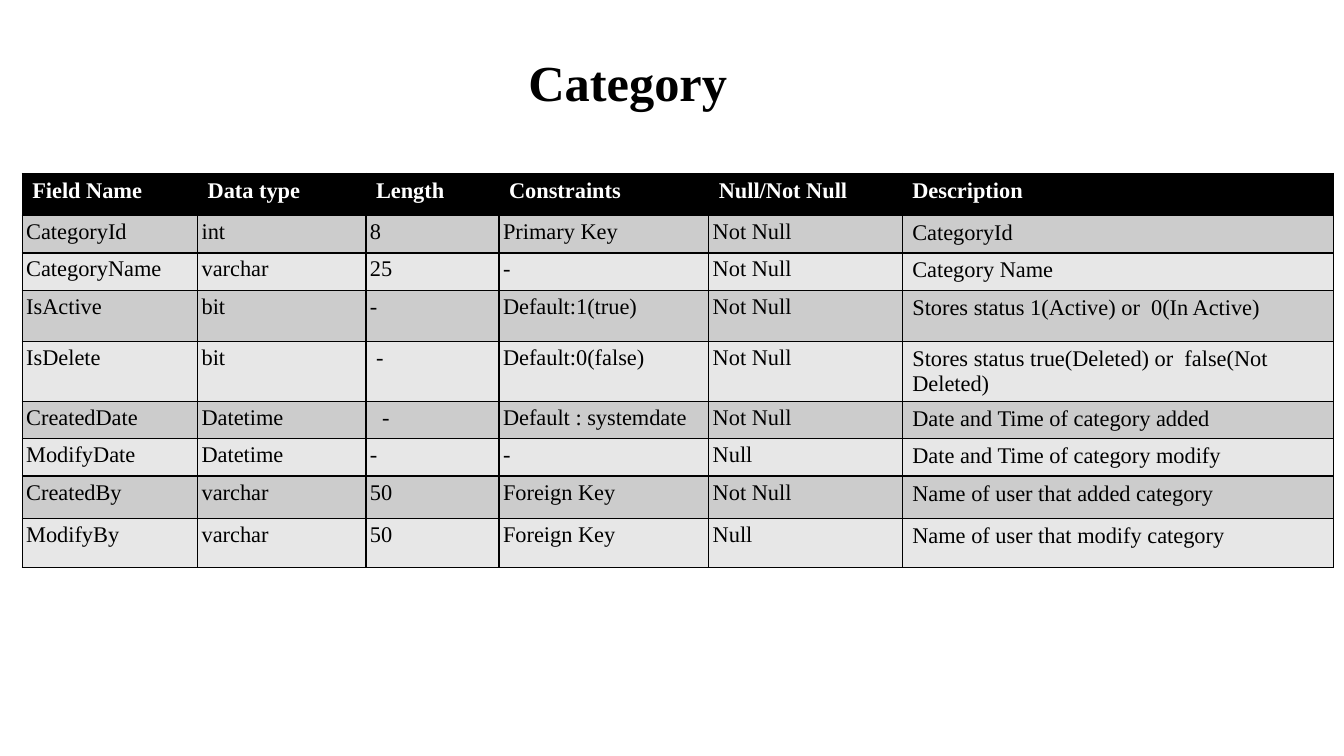
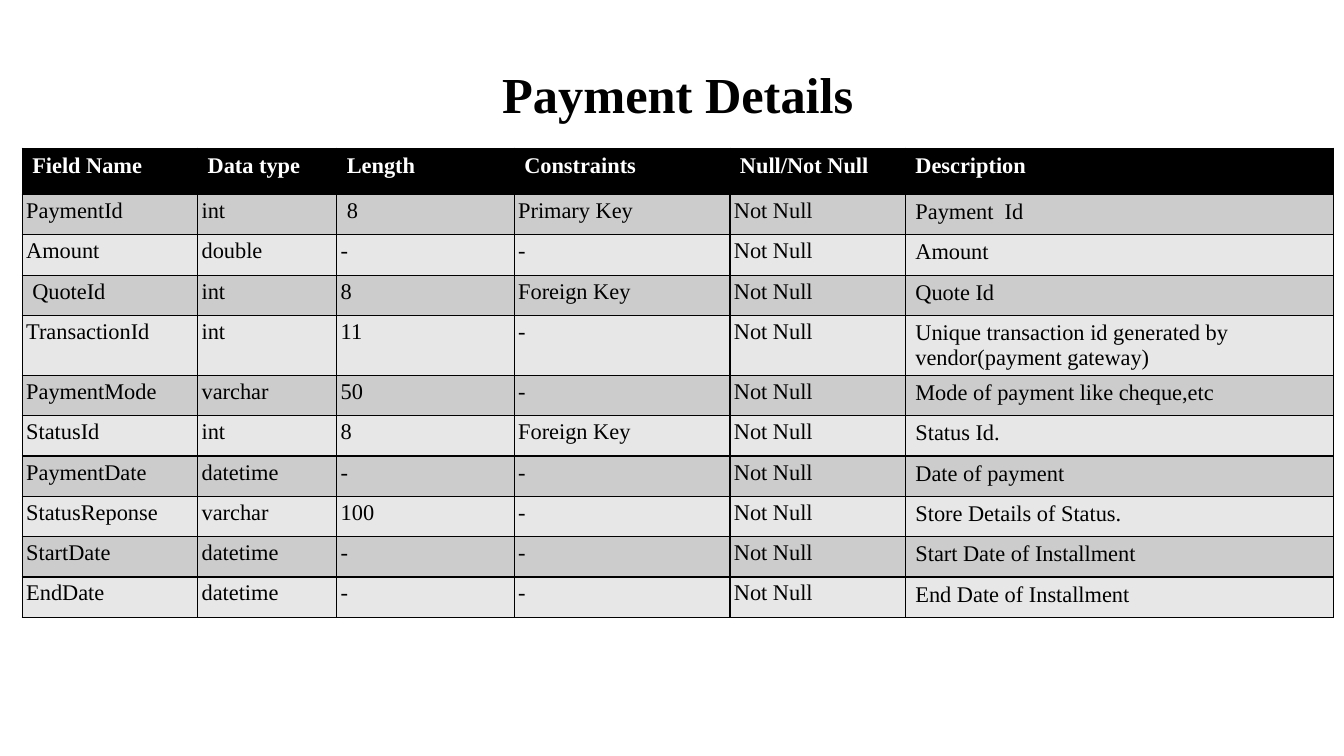
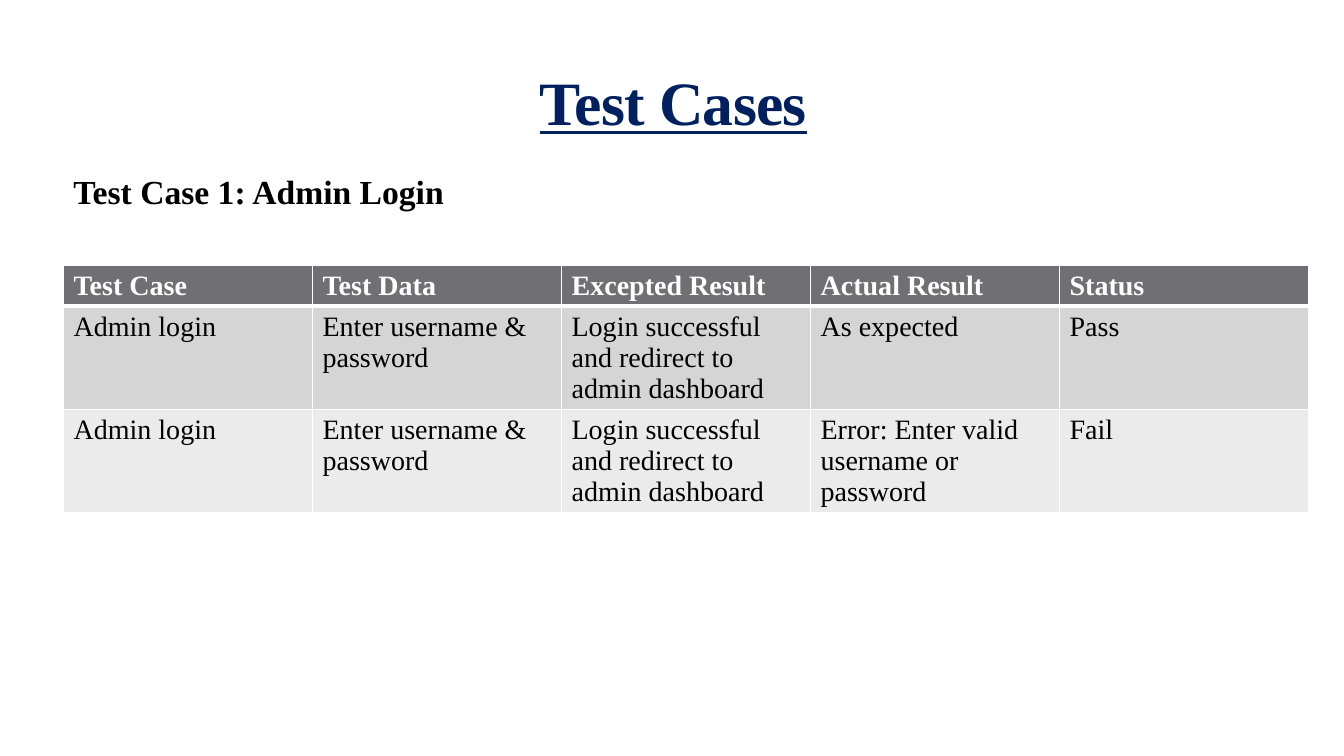
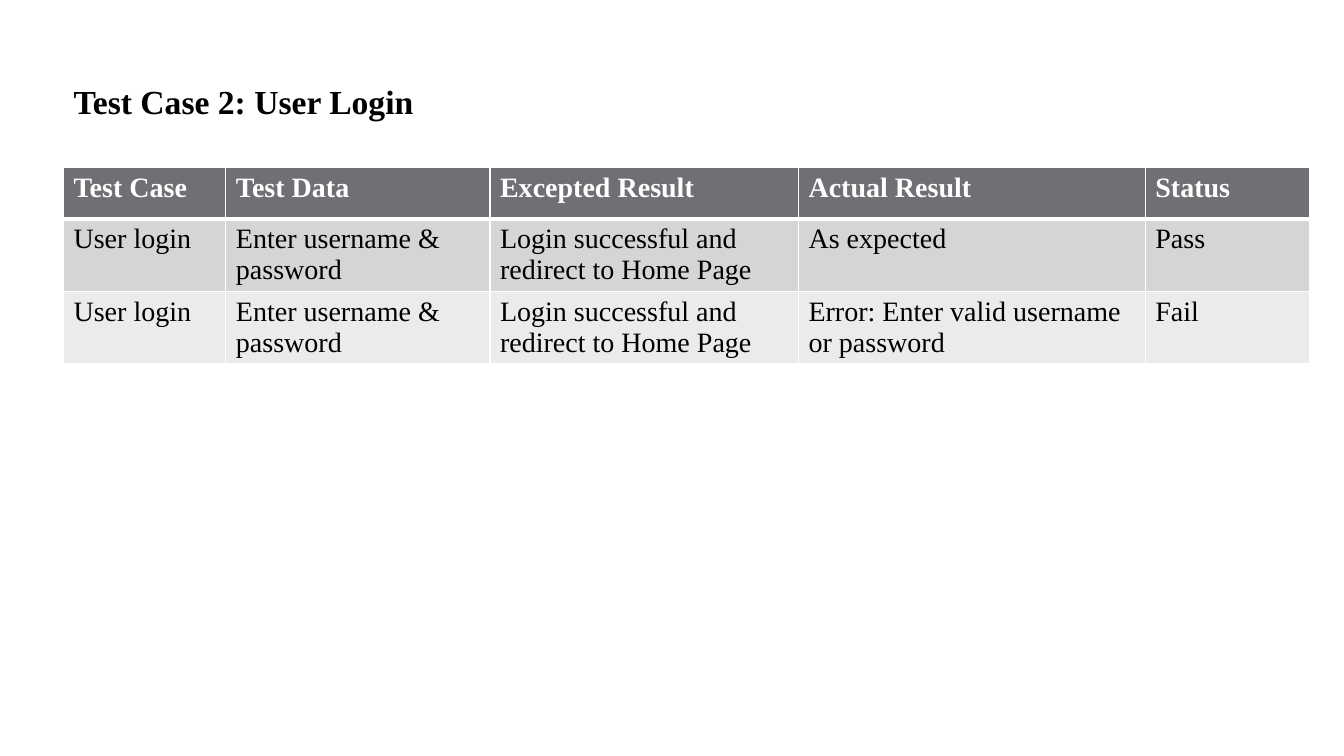
from dataclasses import dataclass

from lxml import etree
from pptx import Presentation
from pptx.dml.color import RGBColor
from pptx.enum import text as t
from pptx.oxml.ns import qn
from pptx.util import Inches, Pt

FACE = "Times New Roman"
BLACK, WHITE, NAVY = "000000", "FFFFFF", "002060"
TITLE_ONLY = 5


@dataclass
class Head:
    text: str
    box: tuple[float, ...]
    size: int = 36
    indent: float = 0
    color: str = BLACK
    main: bool = False


@dataclass
class Style:
    head: str
    bands: tuple[str, str]
    edge: str
    rule: float
    size: int
    tight: bool


@dataclass
class Grid:
    left: float
    top: float
    cols: list[float]
    rows: list[float]
    cells: list[tuple[str, ...]]
    style: Style


@dataclass
class Page:
    head: Head
    grid: Grid
    sub: Head | None = None


FIELD = Style(BLACK, ("CCCCCC", "E7E7E7"), BLACK, 1, 16, True)
TEST = Style("6F6F74", ("D5D5D6", "EBEBEB"), WHITE, 3, 20, False)

FIELDS = ("Field Name", "Data type", "Length", "Constraints", "Null/Not Null", "Description")
TESTS = ("Test Case", "Test Data", "Excepted Result", "Actual Result", "Status")


def rgb(code: str) -> RGBColor:
    return RGBColor.from_string(code)


def ink(para, size: int, color: str, bold: bool) -> None:
    font = para.font
    font.name, font.size, font.bold = FACE, Pt(size), bold
    font.color.rgb = rgb(color)


def write(shape, head: Head) -> None:
    shape.left, shape.top, shape.width, shape.height = map(Inches, head.box)
    frame = shape.text_frame
    frame.word_wrap = True
    frame.auto_size = t.MSO_AUTO_SIZE.NONE
    frame.vertical_anchor = t.MSO_ANCHOR.BOTTOM if head.main else t.MSO_ANCHOR.TOP
    frame.text = head.text
    para = frame.paragraphs[0]
    para.alignment = t.PP_ALIGN.CENTER if head.main else t.PP_ALIGN.LEFT
    props = para._p.get_or_add_pPr()
    props.set("marL", str(Inches(head.indent)))
    props.set("indent", "0")
    if head.main:
        para.line_spacing = 0.9
    ink(para, head.size, head.color, True)
    if head.main:
        para.font.underline = True
        props.find(qn("a:defRPr")).set("spc", "-50")


def border(cell, color: str, base: float) -> None:
    props = cell._tc.get_or_add_tcPr()
    for side in "LRTB":
        width = base if side == "B" else 1
        line = etree.SubElement(props, qn(f"a:ln{side}"), w=str(Pt(width)))
        fill = etree.SubElement(line, qn("a:solidFill"))
        etree.SubElement(fill, qn("a:srgbClr"), val=color)


def draw(slide, grid: Grid) -> None:
    size = map(Inches, (grid.left, grid.top, sum(grid.cols), sum(grid.rows)))
    table = slide.shapes.add_table(len(grid.rows), len(grid.cols), *size).table
    table.horz_banding = table.first_row = False
    for col, wide in zip(table.columns, grid.cols):
        col.width = Inches(wide)
    for row, high in zip(table.rows, grid.rows):
        row.height = Inches(high)
    look = grid.style
    for i, vals in enumerate(grid.cells):
        for j, val in enumerate(vals):
            cell = table.cell(i, j)
            top = i == 0
            border(cell, look.edge, look.rule if top else 1)
            cell.fill.solid()
            cell.fill.fore_color.rgb = rgb(look.head if top else look.bands[(i - 1) % 2])
            bare = val.lstrip()
            if look.tight and not top and j < len(vals) - 1:
                pad = 0.04 + 0.06 * (len(val) - len(bare))
                cell.margin_left = Inches(pad)
                cell.margin_right = cell.margin_top = cell.margin_bottom = Inches(0.04)
            cell.text = bare
            for para in cell.text_frame.paragraphs:
                ink(para, look.size, WHITE if top else BLACK, top)


def cases(who: str, goal: str) -> list[tuple[str, ...]]:
    start = (f"{who} login", "Enter username &\npassword",
             f"Login successful and redirect to {goal}")
    return [TESTS, (*start, "As expected", "Pass"),
            (*start, "Error: Enter valid username or password", "Fail")]


CATEGORY = [
    FIELDS,
    ("CategoryId", "int", "8", "Primary Key", "Not Null", "CategoryId"),
    ("CategoryName", "varchar", "25", "-", "Not Null", "Category Name"),
    ("IsActive", "bit", "-", "Default:1(true)", "Not Null",
     "Stores status 1(Active) or  0(In Active)"),
    ("IsDelete", "bit", " -", "Default:0(false)", "Not Null",
     "Stores status true(Deleted) or  false(Not Deleted)"),
    ("CreatedDate", "Datetime", "  -", "Default : systemdate", "Not Null",
     "Date and Time of category added"),
    ("ModifyDate", "Datetime", "-", "-", "Null", "Date and Time of category modify"),
    ("CreatedBy", "varchar", "50", "Foreign Key", "Not Null", "Name of user that added category"),
    ("ModifyBy", "varchar", "50", "Foreign Key", "Null", "Name of user that modify category"),
]

PAYMENT = [
    FIELDS,
    ("PaymentId", "int", " 8", "Primary Key", "Not Null", "Payment  Id"),
    ("Amount", "double", "-", "-", "Not Null", "Amount"),
    (" QuoteId", "int", "8", "Foreign Key", "Not Null", "Quote Id"),
    ("TransactionId", "int", "11", "-", "Not Null",
     "Unique transaction id generated by vendor(payment gateway)"),
    ("PaymentMode", "varchar", "50", "-", "Not Null", "Mode of payment like cheque,etc"),
    ("StatusId", "int", "8", "Foreign Key", "Not Null", "Status Id."),
    ("PaymentDate", "datetime", "-", "-", "Not Null", "Date of payment"),
    ("StatusReponse", "varchar", "100", "-", "Not Null", "Store Details of Status."),
    ("StartDate", "datetime", "-", "-", "Not Null", "Start Date of Installment"),
    ("EndDate", "datetime", "-", "-", "Not Null", "End Date of Installment"),
]

PAGES = [
    Page(Head("Category", (1.14, 0.46, 9.22, 0.71), indent=4),
         Grid(0.22, 1.72, [1.74, 1.67, 1.32, 2.08, 1.92, 4.28],
              [0.42, 0.37, 0.37, 0.51, 0.46, 0.37, 0.37, 0.42, 0.49], CATEGORY, FIELD)),
    Page(Head("Payment Details", (1.38, 0.58, 9.22, 0.71), indent=3.5),
         Grid(0.22, 1.47, [1.74, 1.38, 1.76, 2.14, 1.74, 4.25],
              [0.46] + [0.4] * 10, PAYMENT, FIELD)),
    Page(Head("Test Cases", (1.38, 0.4, 10.6, 1.03), 44, color=NAVY, main=True),
         Grid(0.63, 2.63, [2.47] * 5, [0.4, 1.02, 1.02],
              cases("Admin", "admin dashboard"), TEST),
         Head("Test Case 1: Admin Login", (0.63, 1.65, 7.62, 0.5), 24)),
    Page(Head("Test Case 2: User Login", (0.63, 0.75, 7.62, 0.5), 24),
         Grid(0.63, 1.66, [1.61, 2.62, 3.06, 3.44, 1.63], [0.51, 0.72, 0.72],
              cases("User", "Home Page"), TEST)),
]


def main() -> None:
    deck = Presentation()
    deck.slide_width, deck.slide_height = Inches(13.33), Inches(7.5)
    for page in PAGES:
        slide = deck.slides.add_slide(deck.slide_layouts[TITLE_ONLY])
        write(slide.shapes.title, page.head)
        draw(slide, page.grid)
        if page.sub:
            write(slide.shapes.add_textbox(0, 0, 0, 0), page.sub)
    deck.save("out.pptx")


if __name__ == "__main__":
    main()
